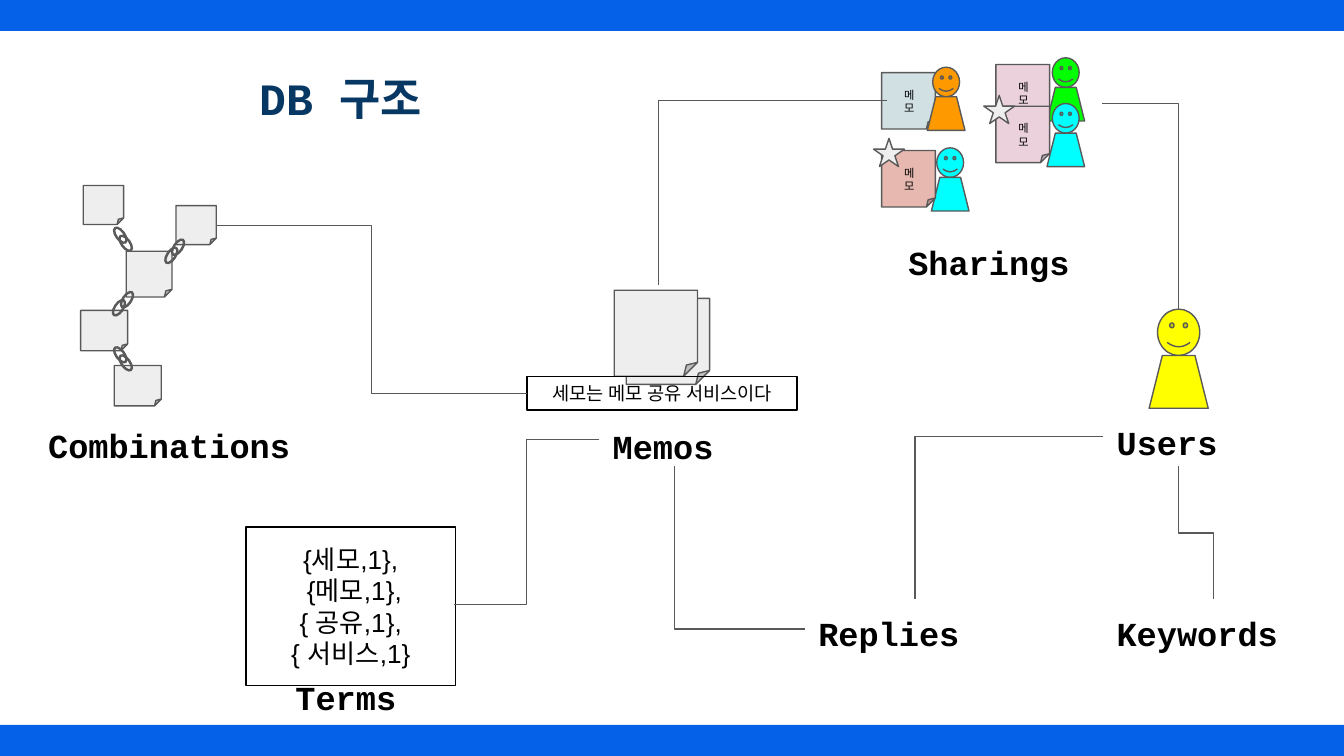
from dataclasses import dataclass

from lxml.etree import SubElement
from pptx import Presentation
from pptx.dml.color import RGBColor
from pptx.enum.shapes import MSO_CONNECTOR, MSO_SHAPE
from pptx.enum.text import MSO_ANCHOR, PP_ALIGN
from pptx.oxml.ns import qn
from pptx.util import Inches, Pt

COLUMNS = 10
ROWS = COLUMNS * 9 / 16
GREY, PAPER, BLACK, BLUE = "595959", "EEEEEE", "000000", "0561E8"
MONO, SANS = "Courier New", "Arial"

deck = Presentation()
deck.slide_width, deck.slide_height = Inches(COLUMNS), Inches(ROWS)
page = deck.slides.add_slide(deck.slide_layouts[6])


@dataclass
class Area:
    column: float
    row: float
    width: float
    height: float

    def emu(self) -> list[int]:
        return [Inches(n) for n in (self.column, self.row, self.width, self.height)]


@dataclass
class Label:
    text: str
    area: Area
    size: int = 18
    color: str = BLACK


@dataclass
class Link:
    column: float
    row: float
    angle: float


@dataclass
class Person:
    column: float
    row: float
    color: str
    scale: float = 1


@dataclass
class Memo:
    column: float
    row: float
    color: str


@dataclass
class Wire:
    start: tuple[float, float]
    end: tuple[float, float]
    bend: float | None = 0.5
    downward: bool = False


def paint(target, color: str) -> None:
    target.rgb = RGBColor.from_string(color)


def write(box, text: str, *, size: int, font: str = SANS, color: str = BLACK,
          bold: bool = False, align=PP_ALIGN.CENTER, anchor=MSO_ANCHOR.MIDDLE) -> None:
    frame = box.text_frame
    frame.word_wrap = True
    frame.vertical_anchor = anchor
    frame.margin_left = frame.margin_right = Inches(0.1)
    frame.margin_top = frame.margin_bottom = Inches(0.1)
    for index, line in enumerate(text.split("\n")):
        para = frame.paragraphs[0] if index == 0 else frame.add_paragraph()
        para.alignment = align
        span = para.add_run()
        span.text = line
        span.font.size, span.font.name, span.font.bold = Pt(size), font, bold
        paint(span.font.color, color)
        SubElement(span.font._element, qn("a:ea")).set("typeface", font)


def draw(kind, area: Area, fill: str | None = PAPER, line: str | None = GREY,
         angle: float = 0):
    box = page.shapes.add_shape(kind, *area.emu())
    box.shadow.inherit = False
    box.rotation = angle
    if fill:
        box.fill.solid()
        paint(box.fill.fore_color, fill)
    else:
        box.fill.background()
    if line:
        box.line.width = Pt(0.75)
        paint(box.line.color, line)
    else:
        box.line.fill.background()
    return box


def draw_label(label: Label) -> None:
    box = page.shapes.add_textbox(*label.area.emu())
    write(box, label.text, size=label.size, font=MONO, color=label.color, bold=True,
          align=PP_ALIGN.LEFT, anchor=MSO_ANCHOR.TOP)


def draw_link(link: Link) -> None:
    ring = draw(MSO_SHAPE.DONUT, Area(link.column, link.row, 0.07, 0.14), angle=link.angle)
    ring.adjustments[0] = 0.12


def draw_person(person: Person) -> None:
    x, y, k = person.column, person.row, person.scale
    draw(MSO_SHAPE.SMILEY_FACE, Area(x + 0.04 * k, y, 0.2 * k, 0.22 * k), person.color)
    draw(MSO_SHAPE.TRAPEZOID, Area(x, y + 0.22 * k, 0.28 * k, 0.25 * k), person.color)


def draw_memo(memo: Memo) -> None:
    x, y = memo.column, memo.row
    draw(MSO_SHAPE.FOLDED_CORNER, Area(x, y, 0.4, 0.42), memo.color)
    box = draw(MSO_SHAPE.RECTANGLE, Area(x + 0.04, y + 0.08, 0.33, 0.27), memo.color, None)
    write(box, "메모", size=6)


def draw_wire(wire: Wire) -> None:
    (x1, y1), (x2, y2) = wire.start, wire.end
    if wire.downward:
        x, y = (x1 + x2) / 2, (y1 + y2) / 2
        across, down = (y2 - y1) / 2, (x2 - x1) / 2
        x1, y1, x2, y2 = x + across, y - down, x - across, y + down
    line = page.shapes.add_connector(
        MSO_CONNECTOR.ELBOW, Inches(x1), Inches(y1), Inches(x2), Inches(y2))
    line.line.width = Pt(0.75)
    paint(line.line.color, GREY)
    properties = line._element.spPr
    SubElement(properties, qn("a:effectLst"))
    if wire.downward:
        properties.find(qn("a:xfrm")).set("rot", str(270 * 60000))
    shape = properties.find(qn("a:prstGeom"))
    if wire.bend is None:
        shape.set("prst", "bentConnector2")
    else:
        guide = SubElement(shape.find(qn("a:avLst")), qn("a:gd"))
        guide.set("name", "adj1")
        guide.set("fmla", f"val {round(wire.bend * 100000)}")


sheets = [
    Area(4.66, 2.22, 0.62, 0.64), Area(4.57, 2.16, 0.62, 0.64),
    Area(1.31, 1.53, 0.3, 0.29), Area(0.62, 1.38, 0.3, 0.29),
    Area(0.85, 2.72, 0.35, 0.3), Area(0.6, 2.31, 0.35, 0.3),
    Area(0.94, 1.87, 0.34, 0.34),
]
links = [
    Link(0.91, 2.16, 33.7), Link(0.85, 2.22, 33.7),
    Link(0.9, 2.63, 144.2), Link(0.86, 2.57, 144.2),
    Link(1.29, 1.77, 33.7), Link(1.24, 1.83, 33.7),
    Link(0.9, 1.74, 144.2), Link(0.86, 1.68, 144.2),
]
sharings = [
    Person(7.79, 0.43, "00FF00"), Memo(6.56, 0.54, "D0E0E3"),
    Person(7.79, 0.77, "00FFFF"), Person(6.9, 0.5, "FF9900"),
    Person(6.93, 1.1, "00FFFF"), Memo(7.41, 0.48, "EAD1DC"),
    Memo(7.41, 0.79, "EAD1DC"), Memo(6.56, 1.12, "E6B8AF"),
]
stars = [Area(7.32, 0.71, 0.23, 0.21), Area(6.5, 1.03, 0.23, 0.21)]
labels = [
    Label("Memos", Area(4.46, 3.07, 1.12, 0.4)),
    Label("Users", Area(8.21, 3.04, 1.11, 0.43)),
    Label("Combinations", Area(0.26, 3.06, 2.1, 0.41)),
    Label("Terms", Area(2.1, 4.94, 1.17, 0.51)),
    Label("Sharings", Area(6.66, 1.7, 1.56, 0.51)),
    Label("Keywords", Area(8.21, 4.46, 1.63, 0.43)),
    Label("DB 구조", Area(1.83, 0.43, 2, 0.76), 24, "073763"),
    Label("Replies", Area(5.99, 4.46, 1.63, 0.43)),
]
wires = [
    Wire((4.9, 2.12), (6.6, 0.75), 0),
    Wire((8.2, 0.77), (8.77, 2.3), 0, True),
    Wire((1.61, 1.68), (3.92, 2.93)),
    Wire((4.46, 3.27), (3.38, 4.5)),
    Wire((5.02, 3.47), (5.99, 4.68), None, True),
    Wire((8.21, 3.25), (6.81, 4.46), None),
    Wire((8.77, 3.47), (9.03, 4.46), 0.5, True),
]

for sheet in sheets:
    draw(MSO_SHAPE.FOLDED_CORNER, sheet)
for link in links:
    draw_link(link)
sentence = draw(MSO_SHAPE.RECTANGLE, Area(3.92, 2.8, 2.01, 0.25), None, BLACK)
write(sentence, "세모는 메모 공유 서비스이다", size=10)
terms = draw(MSO_SHAPE.RECTANGLE, Area(1.83, 3.92, 1.56, 1.18), "FFFFFF", BLACK)
write(terms, "{세모,1},\n {메모,1},\n{ 공유,1},\n{ 서비스,1}", size=14)
draw_person(Person(8.55, 2.3, "FFFF00", 1.57))
for item in sharings:
    draw_person(item) if isinstance(item, Person) else draw_memo(item)
for star in stars:
    draw(MSO_SHAPE.STAR_5_POINT, star)
for label in labels:
    draw_label(label)
for wire in wires:
    draw_wire(wire)
for row in (0, ROWS - 0.23):
    draw(MSO_SHAPE.RECTANGLE, Area(0, row, COLUMNS, 0.23), BLUE, None)

deck.save("out.pptx")
